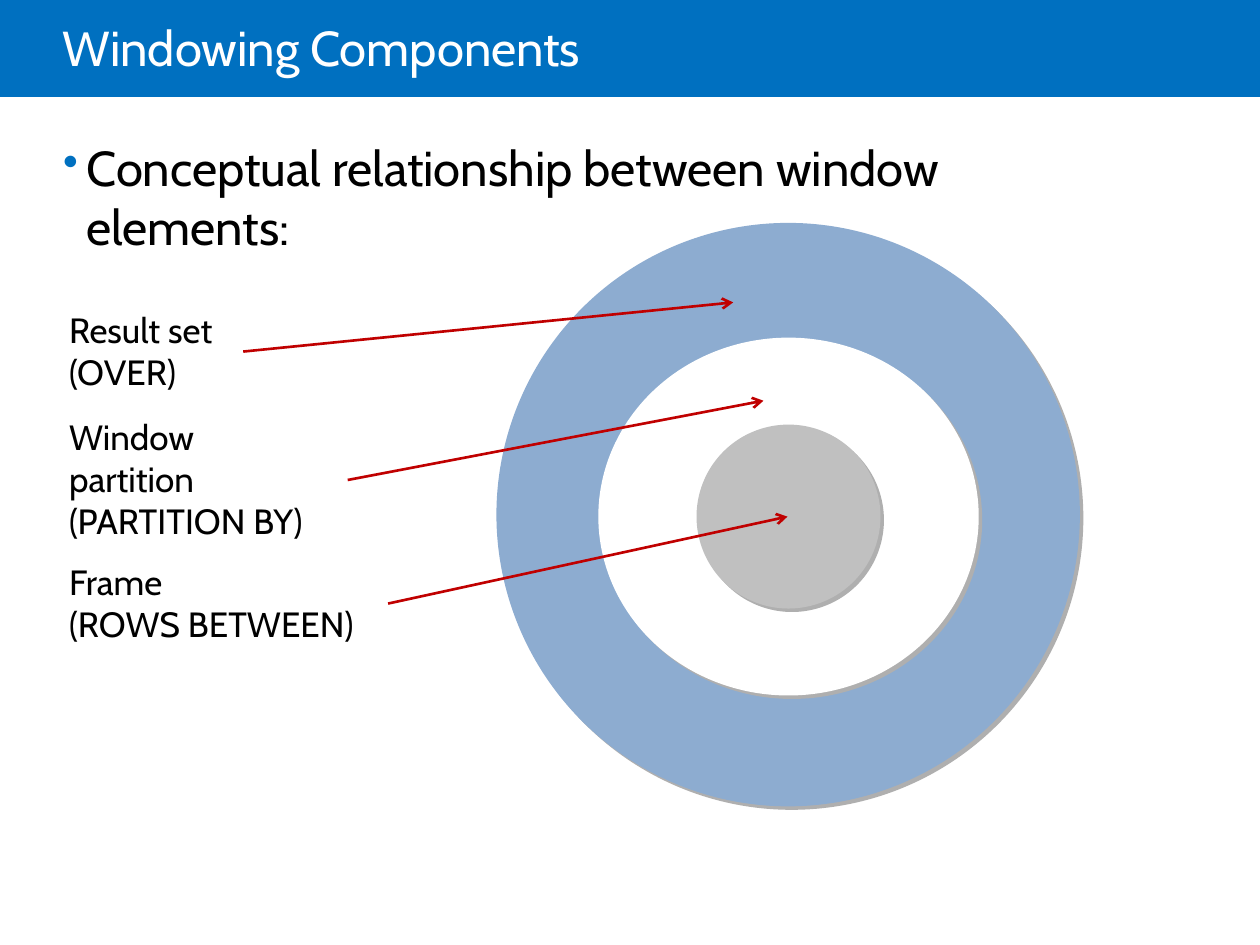
from lxml import etree
from pptx import Presentation
from pptx.dml.color import RGBColor
from pptx.enum.shapes import MSO_CONNECTOR, MSO_SHAPE
from pptx.enum.text import MSO_ANCHOR, MSO_AUTO_SIZE
from pptx.oxml.ns import qn
from pptx.util import Pt

RECTANGLE, OVAL = MSO_SHAPE.RECTANGLE, MSO_SHAPE.OVAL
STRAIGHT = MSO_CONNECTOR.STRAIGHT
TOP, MIDDLE = MSO_ANCHOR.TOP, MSO_ANCHOR.MIDDLE
FIT_SHAPE = MSO_AUTO_SIZE.SHAPE_TO_FIT_TEXT

COLORS = {
    "banner": "0070C0",
    "title": "FFFFFF",
    "text": "000000",
    "result set": "8DACD0",
    "partition": "FFFFFF",
    "frame": "C0C0C0",
    "shadow": "AFAFAF",
    "arrow": "C00000",
}


def add_xml(parent, tag, **attributes):
    child = etree.SubElement(parent, qn(tag))
    for key, value in attributes.items():
        child.set(key, str(value))
    return child


class SlideBuilder:
    font = "Cabin"

    def __init__(self, slide):
        self.slide = slide

    def color(self, name):
        return RGBColor.from_string(COLORS[name])

    def filled_shape(self, kind, box, fill):
        shape = self.slide.shapes.add_shape(kind, *map(Pt, box))
        shape.shadow.inherit = False
        shape.fill.solid()
        shape.fill.fore_color.rgb = self.color(fill)
        shape.line.fill.background()
        return shape

    def ring(self, center, width, height, fill):
        """Draw an oval around its center, with a hard shadow to the lower right."""
        x, y = center
        box = (x - width / 2, y - height / 2, width, height)
        oval = self.filled_shape(OVAL, box, fill)
        effects = oval._element.spPr.find(qn("a:effectLst"))
        shadow = add_xml(effects, "a:outerShdw", blurRad=0, dist=Pt(2.8),
                         dir=45 * 60000, algn="ctr", rotWithShape=0)
        add_xml(shadow, "a:srgbClr", val=COLORS["shadow"])

    def text(self, box, paragraphs, size, color="text", insets=(7.2, 3.6, 7.2, 3.6),
             anchor=TOP, wrap=True):
        textbox = self.slide.shapes.add_textbox(*map(Pt, box))
        frame = textbox.text_frame
        frame.word_wrap = wrap
        frame.vertical_anchor = anchor
        (frame.margin_left, frame.margin_top,
         frame.margin_right, frame.margin_bottom) = map(Pt, insets)
        frame.text = "\n".join(paragraphs)
        for paragraph in frame.paragraphs:
            paragraph.font.name = self.font
            paragraph.font.size = Pt(size)
            paragraph.font.color.rgb = self.color(color)
        return frame

    def bullet_text(self, box, wording, size):
        frame = self.text(box, [], size, insets=(0, 0, 0, 0))
        paragraph = frame.paragraphs[0]
        paragraph.text = wording
        properties = paragraph._p.get_or_add_pPr()
        properties.set("marL", str(Pt(13.5)))
        properties.set("indent", str(-Pt(13.5)))
        default_font = properties.find(qn("a:defRPr"))
        properties.remove(default_font)
        bullet_color = add_xml(properties, "a:buClr")
        add_xml(bullet_color, "a:srgbClr", val=COLORS["banner"])
        add_xml(properties, "a:buSzPct", val=90000)
        add_xml(properties, "a:buChar", char="•")
        properties.append(default_font)

    def label(self, left, top, width, height, paragraphs):
        frame = self.text((left, top, width, height), paragraphs, 20, wrap=False)
        frame.auto_size = FIT_SHAPE

    def arrow(self, start, end):
        connector = self.slide.shapes.add_connector(STRAIGHT, *map(Pt, start + end))
        connector.line.color.rgb = self.color("arrow")
        connector.line.width = Pt(1.5)
        add_xml(connector.line._get_or_add_ln(), "a:tailEnd", type="arrow")
        add_xml(connector._element.spPr, "a:effectLst")


def main():
    presentation = Presentation()
    presentation.slide_width, presentation.slide_height = Pt(720), Pt(540)
    builder = SlideBuilder(presentation.slides.add_slide(presentation.slide_layouts[6]))

    builder.filled_shape(RECTANGLE, (0, 0, 720, 55.4), "banner")
    title = builder.text((36, 0, 612, 58.3), ["Windowing Components"], 28, "title",
                         insets=(0, 3.6, 7.2, 3.6), anchor=MIDDLE)
    title.paragraphs[0].line_spacing = 0.85

    builder.ring((450.4, 294.1), 333.4, 333.4, "result set")
    builder.ring((450.6, 295.2), 217.4, 204.5, "partition")
    builder.ring((450.6, 295.2), 105.1, 105.1, "frame")

    builder.bullet_text((36, 78.5, 610.6, 345.6),
                        "Conceptual relationship between window elements:", 28)

    # top, width, height, paragraphs (\v breaks a line), arrow start, arrow end
    components = [
        (172.8, 105.8, 55.4, ["Result set", "(OVER)"],
         (139, 200.9), (419, 172.8)),
        (234, 165.6, 79.9, ["Window\vpartition", "(PARTITION BY)"],
         (198.7, 274.3), (436.3, 229)),
        (316.8, 188.6, 55.4, ["Frame\v(ROWS BETWEEN)"],
         (221.8, 344.9), (450, 295.2)),
    ]
    for top, width, height, paragraphs, start, end in components:
        builder.label(32.4, top, width, height, paragraphs)
        builder.arrow(start, end)

    presentation.save("out.pptx")


if __name__ == "__main__":
    main()
